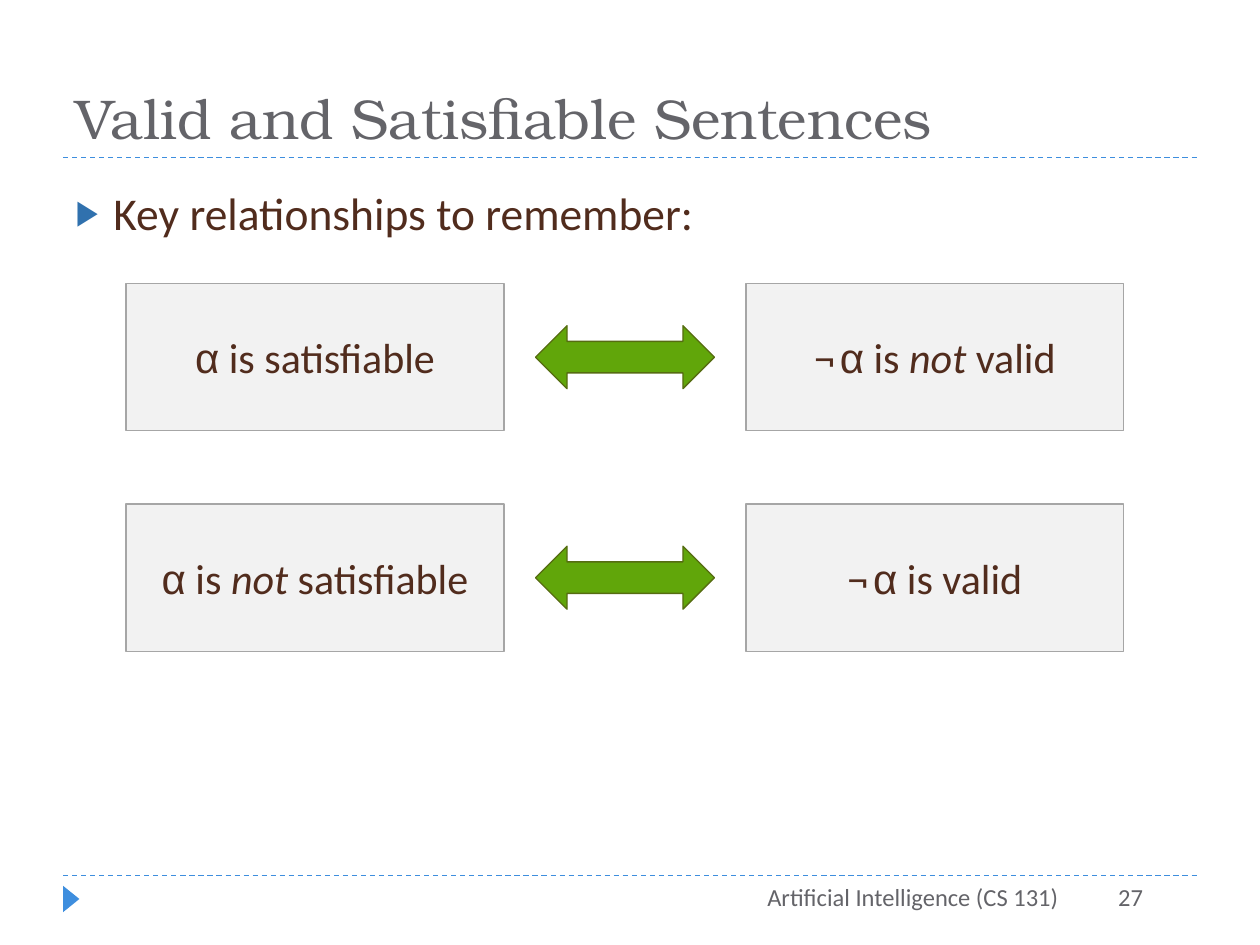
from lxml.etree import SubElement
from pptx import Presentation
from pptx.dml.color import RGBColor
from pptx.enum.dml import MSO_LINE
from pptx.enum.shapes import MSO_CONNECTOR, MSO_SHAPE
from pptx.enum.text import MSO_ANCHOR as Anchor, MSO_AUTO_SIZE, PP_ALIGN as Align
from pptx.oxml.ns import qn
from pptx.util import Inches, Pt

ACCENT = RGBColor(0x3E, 0x8E, 0xDE)
BULLET = RGBColor(0x30, 0x71, 0xAE)
GRAY = RGBColor(0x64, 0x64, 0x69)
BROWN = RGBColor(0x51, 0x2C, 0x1D)
BOX_FILL = RGBColor(0xF2, 0xF2, 0xF2)
BOX_LINE = RGBColor(0xA6, 0xA6, 0xA6)
ARROW_FILL = RGBColor(0x61, 0xA6, 0x0A)
ARROW_LINE = RGBColor(0x56, 0x6C, 0x11)

TITLE_FONT, TEXT_FONT, SYMBOL_FONT = "TeX Gyre Bonum", "Calibri", "Arial"

ALPHA = ("α", {"name": SYMBOL_FONT})
NEGATION = [("¬", {}), (" ", {"size": Pt(12)})]
NOT = ("not", {"italic": True})

# Top of each row, then the runs of its left and right box
EQUIVALENCES = [
    (2.25, [ALPHA, (" is satisfiable", {})],
     [*NEGATION, ALPHA, (" is ", {}), NOT, (" valid", {})]),
    (4, [ALPHA, (" is ", {}), NOT, (" satisfiable", {})],
     [*NEGATION, ALPHA, (" is valid", {})]),
]
BOX_LEFTS = (1, 5.92)
BOX_WIDTH, BOX_HEIGHT = 3, 1.17
ARROW_LEFT, ARROW_WIDTH, ARROW_HEIGHT = 4.25, 1.42, 0.5


class SlideBuilder:
    def __init__(self, slide):
        self.slide = slide

    def style(self, paragraph, size, color, font=TEXT_FONT, align=Align.LEFT):
        paragraph.alignment = align
        paragraph.font.size = Pt(size)
        paragraph.font.name = font
        paragraph.font.color.rgb = color

    def place(self, shape, left, top, width, height):
        shape.left, shape.top = Inches(left), Inches(top)
        shape.width, shape.height = Inches(width), Inches(height)

    def rule(self, top):
        """Draw a dashed line across the slide."""
        line = self.slide.shapes.add_connector(
            MSO_CONNECTOR.STRAIGHT, Inches(0.5), Inches(top), Inches(9.5), Inches(top))
        line.line.color.rgb = ACCENT
        line.line.width = Pt(0.75)
        line.line.dash_style = MSO_LINE.DASH
        SubElement(line._element.spPr, qn("a:effectLst"))

    def title(self, text):
        title = self.slide.shapes.title
        self.place(title, 0.5, 0.17, 9, 1.08)
        frame = title.text_frame
        frame.text = text
        frame.vertical_anchor = Anchor.BOTTOM
        frame.auto_size = MSO_AUTO_SIZE.NONE
        self.style(frame.paragraphs[0], 32, GRAY, TITLE_FONT)

    def bullet(self, text):
        body = self.slide.placeholders[1]
        self.place(body, 0.5, 1.42, 9, 5.32)
        frame = body.text_frame
        frame.text = text
        frame.auto_size = MSO_AUTO_SIZE.NONE
        paragraph = frame.paragraphs[0]
        properties = paragraph._p.get_or_add_pPr()
        properties.set("marL", str(Inches(0.3)))
        properties.set("indent", str(-Inches(0.3)))
        color = SubElement(properties, qn("a:buClr"))
        SubElement(color, qn("a:srgbClr"), val=str(BULLET))
        SubElement(properties, qn("a:buSzPct"), val="76000")
        SubElement(properties, qn("a:buFont"), typeface=SYMBOL_FONT)
        SubElement(properties, qn("a:buChar"), char="▶")
        paragraph.space_before = Pt(6)
        self.style(paragraph, 26, BROWN)

    def footer(self, text, left, width):
        box = self.slide.shapes.add_textbox(
            Inches(left), Inches(6.95), Inches(width), Inches(0.4))
        box.text_frame.word_wrap = True
        box.text_frame.text = text
        self.style(box.text_frame.paragraphs[0], 14, GRAY, align=Align.RIGHT)

    def shape(self, kind, left, top, width, height, fill, line=None, parent=None):
        shape = (parent or self.slide).shapes.add_shape(
            kind, Inches(left), Inches(top), Inches(width), Inches(height))
        shape.shadow.inherit = False
        shape.fill.solid()
        shape.fill.fore_color.rgb = fill
        if line is None:
            shape.line.fill.background()
        else:
            shape.line.color.rgb = line
            shape.line.width = Pt(0.75)
        return shape

    def statement(self, group, left, top, runs):
        box = self.shape(MSO_SHAPE.RECTANGLE, left, top, BOX_WIDTH, BOX_HEIGHT,
                         BOX_FILL, BOX_LINE, group)
        box.text_frame.vertical_anchor = Anchor.MIDDLE
        paragraph = box.text_frame.paragraphs[0]
        self.style(paragraph, 24, BROWN, align=Align.CENTER)
        for text, changes in runs:
            run = paragraph.add_run()
            run.text = text
            for attribute, value in changes.items():
                setattr(run.font, attribute, value)

    def equivalence(self, top, *statements):
        """Group two statements with the double arrow between them."""
        group = self.slide.shapes.add_group_shape()
        for left, runs in zip(BOX_LEFTS, statements):
            self.statement(group, left, top, runs)
        arrow_top = top + (BOX_HEIGHT - ARROW_HEIGHT) / 2
        self.shape(MSO_SHAPE.LEFT_RIGHT_ARROW, ARROW_LEFT, arrow_top,
                   ARROW_WIDTH, ARROW_HEIGHT, ARROW_FILL, ARROW_LINE, group)


def main():
    presentation = Presentation()
    presentation.slide_width, presentation.slide_height = Inches(10), Inches(7.5)
    builder = SlideBuilder(presentation.slides.add_slide(presentation.slide_layouts[1]))

    for top in (6.95, 1.25):
        builder.rule(top)
    marker = builder.shape(MSO_SHAPE.ISOSCELES_TRIANGLE, 0.46, 7.07, 0.21, 0.13, ACCENT)
    marker.rotation = 90

    builder.title("Valid and Satisfiable Sentences")
    builder.bullet("Key relationships to remember:")
    builder.footer("Artificial Intelligence (CS 131)", 3.83, 4.67)
    builder.footer("27", 8.08, 1.09)
    for row in EQUIVALENCES:
        builder.equivalence(*row)

    presentation.save("out.pptx")


if __name__ == "__main__":
    main()
